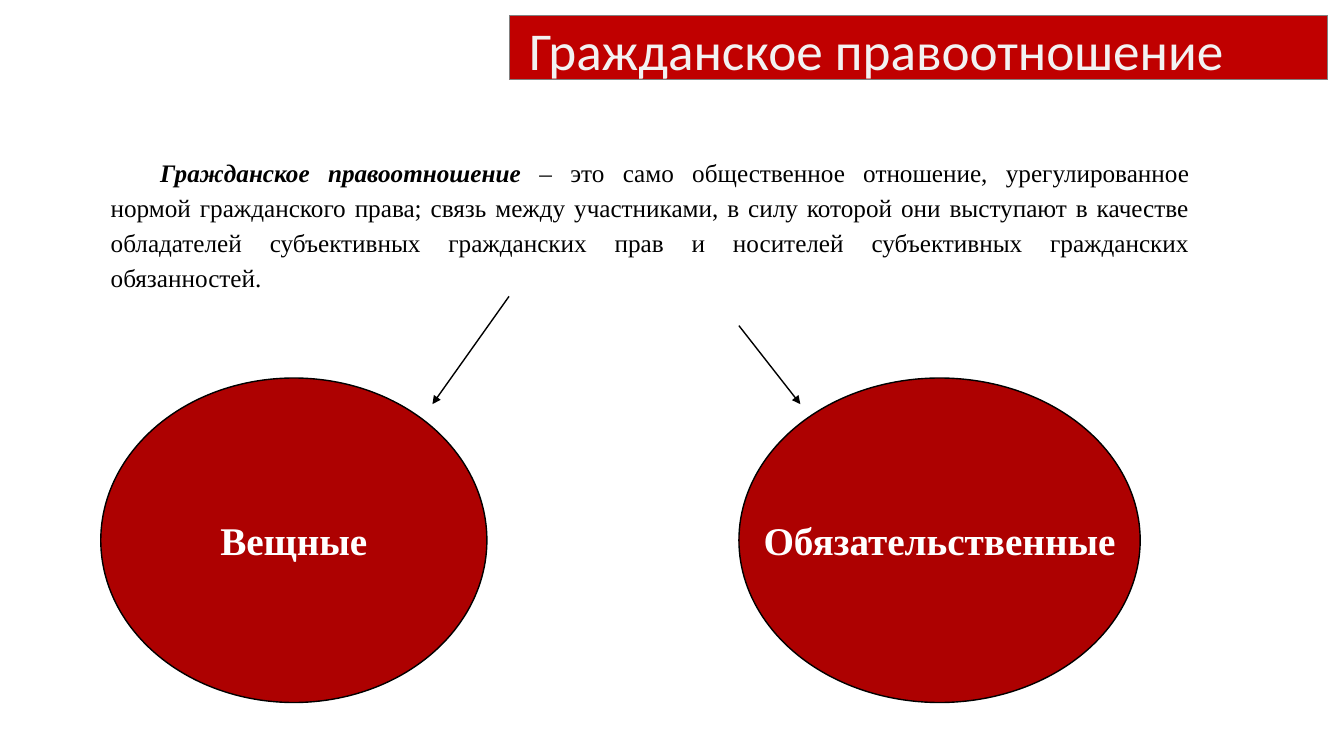
from pptx import Presentation
from pptx.dml.color import RGBColor
from pptx.enum.shapes import MSO_CONNECTOR, MSO_SHAPE
from pptx.enum.text import MSO_ANCHOR, MSO_AUTO_SIZE, PP_ALIGN
from pptx.oxml.ns import qn
from pptx.util import Pt
from lxml import etree

RECT, OVAL = MSO_SHAPE.RECTANGLE, MSO_SHAPE.OVAL
LINE = MSO_CONNECTOR.STRAIGHT
MIDDLE, GROW = MSO_ANCHOR.MIDDLE, MSO_AUTO_SIZE.SHAPE_TO_FIT_TEXT
LEFT, CENTER, JUSTIFY = PP_ALIGN.LEFT, PP_ALIGN.CENTER, PP_ALIGN.JUSTIFY

# Content
TITLE = "Гражданское правоотношение"
TERM = "Гражданское правоотношение"
MEANING = (
    " – это само общественное отношение, урегулированное нормой гражданского "
    "права; связь между участниками, в силу которой они выступают в качестве "
    "обладателей субъективных гражданских прав и носителей субъективных "
    "гражданских обязанностей."
)
# Label, left edge, width, arrow start, arrow tip x
KINDS = [
    ("Вещные", 72, 275.8, (363.6, 211.7), 308.9),
    ("Обязательственные", 527.8, 286.6, (527.8, 232.6), 571.7),
]

COLORS = {"title": "C00000", "pale": "F2F2F2", "edge": "808080",
          "oval": "AD0101", "white": "FFFFFF", "black": "000000"}
SANS, SERIF = "Calibri", "Times New Roman"
OVAL_TOP, OVAL_HIGH, TIP_Y = 270, 231.8, 288.7


def color(name):
    return RGBColor.from_string(COLORS[name])


def add_run(para, text, size, font, tint, bold=False, italic=False):
    run = para.add_run()
    run.text = text
    run.font.size, run.font.name = Pt(size), font
    run.font.bold, run.font.italic = bold, italic
    run.font.color.rgb = color(tint)


def add_shape(slide, kind, box, fill, edge, weight):
    shape = slide.shapes.add_shape(kind, *map(Pt, box))
    shape.shadow.inherit = False
    shape.fill.solid()
    shape.fill.fore_color.rgb = color(fill)
    shape.line.color.rgb = color(edge)
    shape.line.width = Pt(weight)
    shape.text_frame.vertical_anchor = MIDDLE
    return shape.text_frame


def add_arrow(slide, start, end):
    arrow = slide.shapes.add_connector(LINE, *map(Pt, start + end))
    arrow.line.color.rgb = color("black")
    arrow.line.width = Pt(1)
    etree.SubElement(arrow.line._get_or_add_ln(), qn("a:tailEnd"), type="triangle")
    etree.SubElement(arrow._element.spPr, qn("a:effectLst"))


def main():
    deck = Presentation()
    deck.slide_width, deck.slide_height = Pt(960), Pt(540)
    slide = deck.slides.add_slide(deck.slide_layouts[6])

    # Title bar
    frame = add_shape(slide, RECT, (363.6, 10.8, 584.6, 46.1), "title", "edge", 0.75)
    frame.word_wrap = True
    frame.margin_left = frame.margin_right = frame.margin_bottom = Pt(14.4)
    frame.margin_top = Pt(22.3)
    para = frame.paragraphs[0]
    para.alignment, para.line_spacing = LEFT, Pt(40)
    add_run(para, TITLE, 38, SANS, "pale")

    # Ovals with their arrows
    for label, left, width, start, tip in KINDS:
        box = (left, OVAL_TOP, width, OVAL_HIGH)
        frame = add_shape(slide, OVAL, box, "oval", "black", 1)
        frame.word_wrap = False
        para = frame.paragraphs[0]
        para.alignment = CENTER
        add_run(para, label, 28, SERIF, "white", bold=True)
        add_arrow(slide, start, (tip, TIP_Y))

    # Definition
    frame = slide.shapes.add_textbox(*map(Pt, (72, 105.8, 784.8, 105.8))).text_frame
    frame.word_wrap, frame.auto_size = True, GROW
    para = frame.paragraphs[0]
    para.alignment, para.line_spacing, para.space_after = JUSTIFY, 1.15, Pt(10)
    para._p.get_or_add_pPr().set("indent", str(Pt(35.4)))
    add_run(para, TERM, 18, SERIF, "black", bold=True, italic=True)
    add_run(para, MEANING, 18, SERIF, "black")

    deck.save("out.pptx")


if __name__ == "__main__":
    main()
